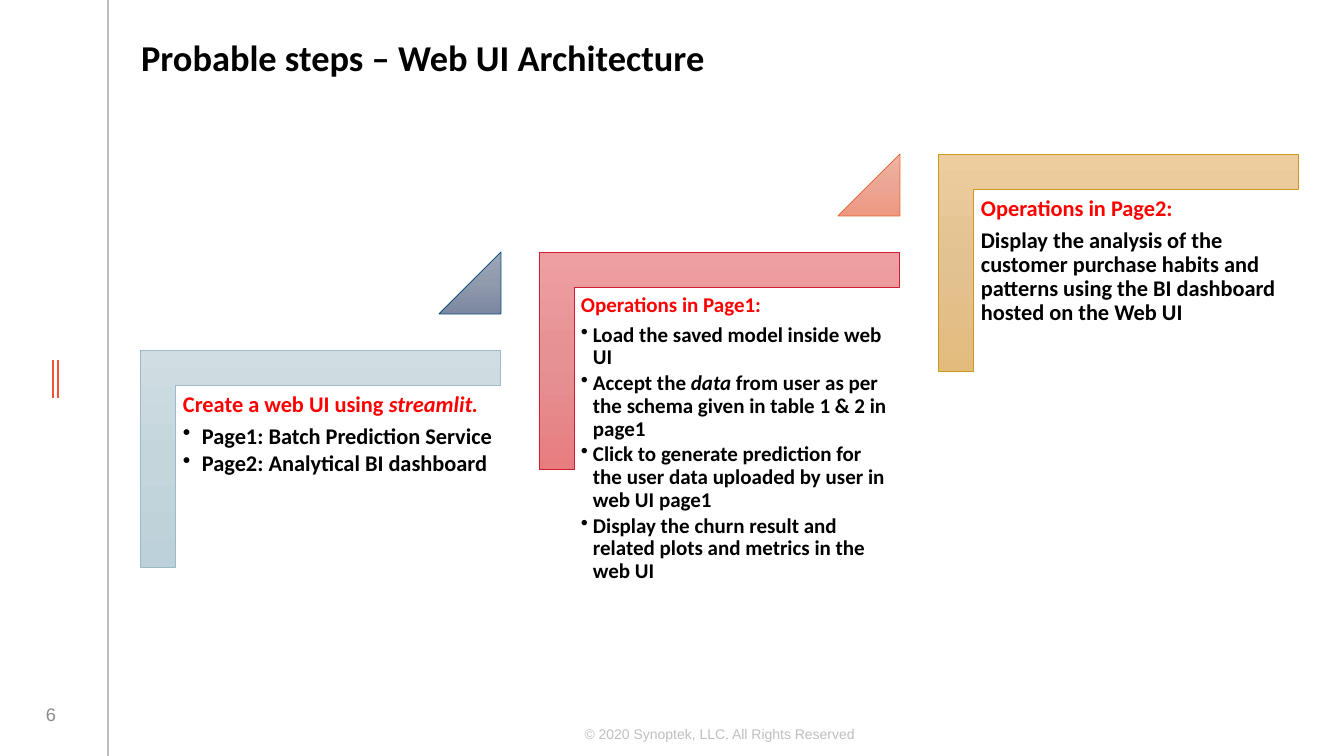
import copy

from pptx import Presentation, util as u
from pptx.dml.color import RGBColor
from pptx.enum import shapes, text
from pptx.oxml import parse_xml
from pptx.oxml.ns import nsdecls, qn

SCALE = 9144000 / 1008  # EMU per px
RED, BLACK, GREY, ORANGE = "FF0000", "000000", "BFBFBF", "F05238"


def px(*lengths):
    return [u.Emu(round(length * SCALE)) for length in lengths]


def color(hex_string):
    return RGBColor.from_string(hex_string)


presentation = Presentation()
presentation.slide_width, presentation.slide_height = px(1344, 756)
slide = presentation.slides.add_slide(presentation.slide_layouts[5])

# Side rule and accent bars
for x, top, bottom, line_color, width in [
    (108, 0, 756, GREY, 1),
    (53, 360, 398, ORANGE, 2),
    (58, 360, 398, ORANGE, 2),
]:
    connector = slide.shapes.add_connector(
        shapes.MSO_CONNECTOR.STRAIGHT, *px(x, top, x, bottom))
    connector.line.color.rgb = color(line_color)
    connector.line.width = u.Pt(width)
    connector.element.spPr.append(parse_xml(f"<a:effectLst {nsdecls('a')}/>"))

# Title, footer and slide number
title = slide.shapes.title
title.left, title.top, title.width, title.height = px(131, 27, 685, 66)
footer = slide.shapes.add_textbox(*px(573, 721, 293, 27))
number = slide.shapes.add_textbox(*px(14, 688, 74, 52))
left, center = text.PP_ALIGN.LEFT, text.PP_ALIGN.CENTER
middle, top_anchor = text.MSO_ANCHOR.MIDDLE, text.MSO_ANCHOR.TOP
for shape, words, wrap, anchor, alignment, spacing, font_values, font_color in [
    (title, "Probable steps – Web UI Architecture", True, middle, left, 0.9,
     {"name": "Calibri", "size": u.Pt(26), "bold": True}, BLACK),
    (footer, "© 2020 Synoptek, LLC. All Rights Reserved", False, top_anchor, center, 1,
     {"name": "Arial", "size": u.Pt(10)}, GREY),
    (number, "6", True, middle, center, 1,
     {"name": "Arial", "size": u.Pt(13)}, "8C8C8C"),
]:
    frame = shape.text_frame
    frame.text = words
    frame.auto_size = text.MSO_AUTO_SIZE.NONE
    frame.word_wrap = wrap
    frame.vertical_anchor = anchor
    paragraph = frame.paragraphs[0]
    paragraph.alignment = alignment
    paragraph.line_spacing = spacing
    font = paragraph.runs[0].font
    for name, value in font_values.items():
        setattr(font, name, value)
    font.color.rgb = color(font_color)

# Rising steps: each paragraph is (bulleted, color, [(words, italic), ...])
STEP_X, STEP_Y = 399, 98
steps = [
    {"size": 16, "inset": 7, "indent": 19,
     "corner": (["D0DEE3", "C4D5DC", "BCD1D9"], "9DBBC6"),
     "triangle": (["9DA6B8", "909AAD", "7C88A1"], "004677"),
     "paragraphs": [
         (False, RED, [("Create a web UI using ", False), ("streamlit.", True)]),
         (True, BLACK, [("Page1: Batch Prediction Service", False)]),
         (True, BLACK, [("Page2: Analytical BI dashboard", False)]),
     ]},
    {"size": 15, "inset": 6, "indent": 12,
     "corner": (["EE9FA1", "E69194", "E87D80"], "CF1D31"),
     "triangle": (["F0B3A4", "EDA695", "EE9881"], "E1662F"),
     "paragraphs": [
         (False, RED, [("Operations in Page1:", False)]),
         (True, BLACK, [("Load the saved model inside web UI", False)]),
         (True, BLACK, [
             ("Accept the ", False), ("data", True),
             (" from user as per the schema given in table 1 & 2 in page1", False)]),
         (True, BLACK, [("Click to generate prediction for the user data "
                         "uploaded by user in web UI page1", False)]),
         (True, BLACK, [("Display the churn result and related plots "
                         "and metrics in the web UI", False)]),
     ]},
    {"size": 16, "inset": 7, "indent": 0,
     "corner": (["EDCC9E", "E3C291", "E3BB7D"], "CA9A1C"),
     "triangle": None,
     "paragraphs": [
         (False, RED, [("Operations in Page2:", False)]),
         (False, BLACK, [("Display the analysis of the customer purchase habits and "
                          "patterns using the BI dashboard hosted on the Web UI", False)]),
     ]},
]

for index, step in enumerate(steps):
    dx, dy = index * STEP_X, -index * STEP_Y

    for key, kind, box, rotation, adjustments in [
        ("corner", shapes.MSO_SHAPE.CORNER, (212, 279, 217, 360), 90, [0.161, 0.161]),
        ("triangle", shapes.MSO_SHAPE.ISOSCELES_TRIANGLE, (439, 252, 62, 62), 0, [1]),
    ]:
        if not step[key]:
            continue
        stop_colors, line_color = step[key]
        x, y, width, height = box
        shape = slide.shapes.add_shape(kind, *px(x + dx, y + dy, width, height))
        shape.rotation = rotation
        shape.shadow.inherit = False
        for position, value in enumerate(adjustments):
            shape.adjustments[position] = value
        shape.line.color.rgb = color(line_color)
        shape.line.width = u.Pt(0.5)
        shape.fill.gradient()
        shape.fill.gradient_angle = 270
        gradient = shape.element.spPr.find(qn("a:gradFill"))
        gradient.set("rotWithShape", "0")
        stop_list = gradient.find(qn("a:gsLst"))
        stop_list.insert(1, copy.deepcopy(stop_list[0]))
        for stop, position, stop_color in zip(
                shape.fill.gradient_stops, (0, 0.5, 1), stop_colors):
            stop.position = position
            stop.color.rgb = color(stop_color)

    frame = slide.shapes.add_textbox(*px(176 + dx, 386 + dy, 326, 285)).text_frame
    frame.word_wrap = True
    for side in ("left", "top", "right", "bottom"):
        setattr(frame, f"margin_{side}", px(step["inset"])[0])
    for row, (bulleted, font_color, runs) in enumerate(step["paragraphs"]):
        paragraph = frame.add_paragraph() if row else frame.paragraphs[0]
        if bulleted:
            paragraph.level = 1
            indent = px(step["indent"])[0]
            properties = paragraph._p.get_or_add_pPr()
            properties.set("marL", str(indent))
            properties.set("indent", str(-indent))
            properties.append(parse_xml(f'<a:buChar {nsdecls("a")} char="•"/>'))
        paragraph.line_spacing = 0.9
        paragraph.space_after = u.Pt(step["size"] * (0.15 if bulleted else 0.35))
        for words, italic in runs:
            run = paragraph.add_run()
            run.text = words
            for name, value in {"name": "Calibri", "size": u.Pt(step["size"]),
                                "bold": True, "italic": italic}.items():
                setattr(run.font, name, value)
            run.font.color.rgb = color(font_color)

presentation.save("out.pptx")
